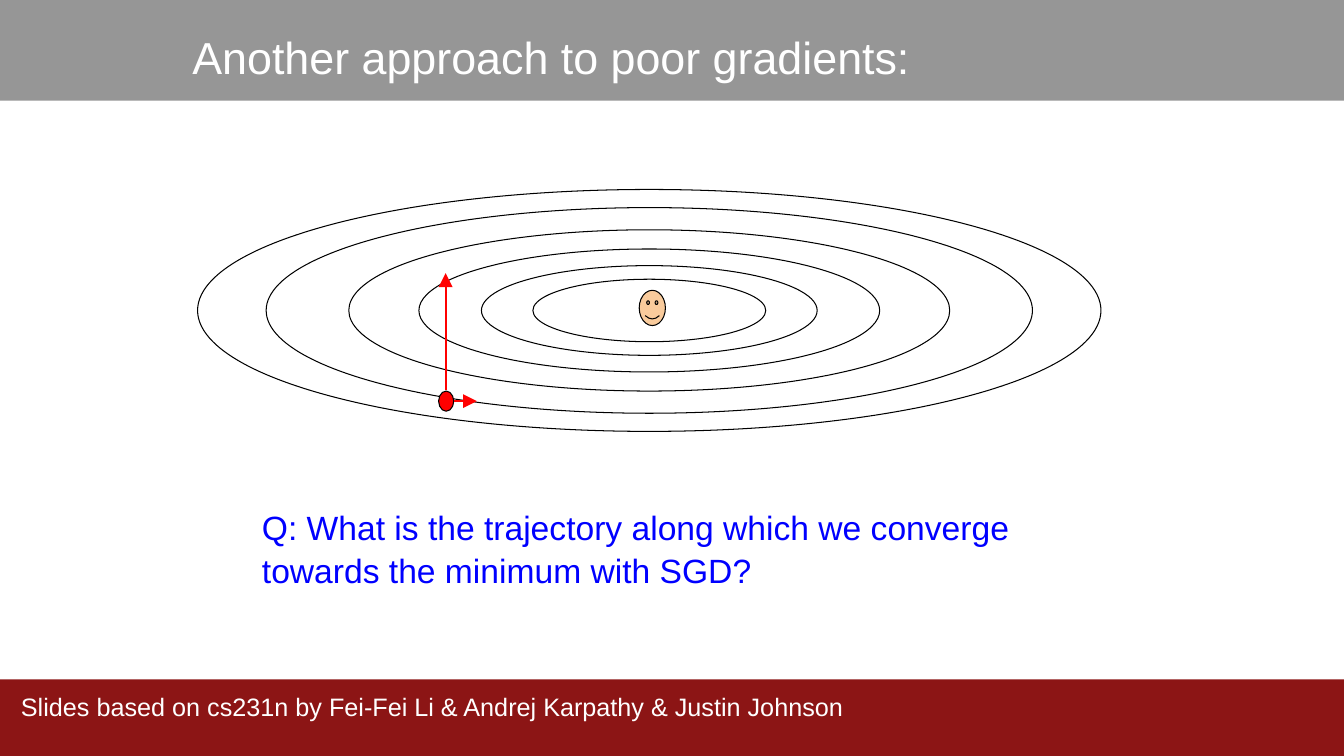
from lxml import etree
from pptx import Presentation
from pptx import util as u
from pptx.dml.color import RGBColor
from pptx.enum import shapes, text
from pptx.oxml.ns import qn

KIND = shapes.MSO_SHAPE
WIDE, HIGH = 13.33, 7.5
RINGS = [(8.96, 2.4), (7.6, 2.04), (5.96, 1.6),
         (4.57, 1.22), (3.33, 0.89), (2.31, 0.62)]


def color(code):
    return RGBColor.from_string(code)


def assign(obj, values):
    for key, value in values.items():
        setattr(obj, key, value)


def shape(slide, kind, box, fill=None, line=None):
    item = slide.shapes.add_shape(kind, *map(u.Inches, box))
    item.shadow.inherit = False
    if fill:
        item.fill.solid()
        item.fill.fore_color.rgb = color(fill)
    else:
        item.fill.background()
    if line:
        item.line.color.rgb = color(line)
        item.line.width = u.Pt(0.75)
    else:
        item.line.fill.background()
    return item


def label(slide, box, words, size, code):
    frame = slide.shapes.add_textbox(*map(u.Inches, box)).text_frame
    pad = u.Inches(0.1)
    assign(frame, {"word_wrap": True, "vertical_anchor": text.MSO_ANCHOR.TOP,
                   "margin_left": pad, "margin_right": pad,
                   "margin_top": pad, "margin_bottom": pad})
    para = frame.paragraphs[0]
    para.line_spacing = 1.07
    run = para.add_run()
    run.text = words
    assign(run.font, {"name": "Arial", "size": u.Pt(size)})
    run.font.color.rgb = color(code)


def arrow(slide, start, end):
    item = slide.shapes.add_connector(
        shapes.MSO_CONNECTOR.STRAIGHT, *map(u.Inches, start + end))
    item.line.color.rgb = color("FF0000")
    item.line.width = u.Pt(1.5)
    etree.SubElement(item.line._get_or_add_ln(), qn("a:tailEnd"),
                     type="triangle", w="lg", len="lg")
    etree.SubElement(item._element.spPr, qn("a:effectLst"))


def header(slide, box):
    left, top, width, height = box
    shape(slide, KIND.RECTANGLE, box, "969696")
    label(slide, (left + 1.81, top + 0.16, 9.67, 0.86),
          "Another approach to poor gradients:", 32, "FFFFFF")


def footer(slide, box):
    left, top, width, height = box
    shape(slide, KIND.RECTANGLE, box, "8C1515")
    label(slide, (left + 0.11, top, width - 0.27, height),
          "Slides based on cs231n by Fei-Fei Li & Andrej Karpathy "
          "& Justin Johnson", 18, "FFFFFF")


def contours(slide, box):
    left, top, width, height = box
    midx, midy = left + width / 2, top + height / 2
    for wide, high in RINGS:
        shape(slide, KIND.OVAL,
              (midx - wide / 2, midy - high / 2, wide, high), line="000000")
    shape(slide, KIND.SMILEY_FACE,
          (midx - 0.1, midy - 0.2, 0.26, 0.35), "F9CB9C", "000000")
    dotx, doty = left + 2.46, top + 2.1
    shape(slide, KIND.OVAL,
          (dotx - 0.07, doty - 0.1, 0.15, 0.2), "FF0000", "000000")
    arrow(slide, (dotx + 0.08, doty), (dotx + 0.31, doty))
    arrow(slide, (dotx, doty - 0.11), (dotx, doty - 1.27))


def question(slide, box):
    label(slide, box, "Q: What is the trajectory along which we converge "
          "towards the minimum with SGD?", 24, "0000FF")


def main():
    deck = Presentation()
    assign(deck, {"slide_width": u.Inches(WIDE),
                  "slide_height": u.Inches(HIGH)})
    slide = deck.slides.add_slide(deck.slide_layouts[6])
    header(slide, (0, 0, WIDE, 1))
    footer(slide, (0, 6.74, WIDE, HIGH - 6.74))
    contours(slide, (1.96, 1.88, 8.96, 2.4))
    question(slide, (2.5, 4.9, 8.23, 0.8))
    deck.save("out.pptx")


if __name__ == "__main__":
    main()
